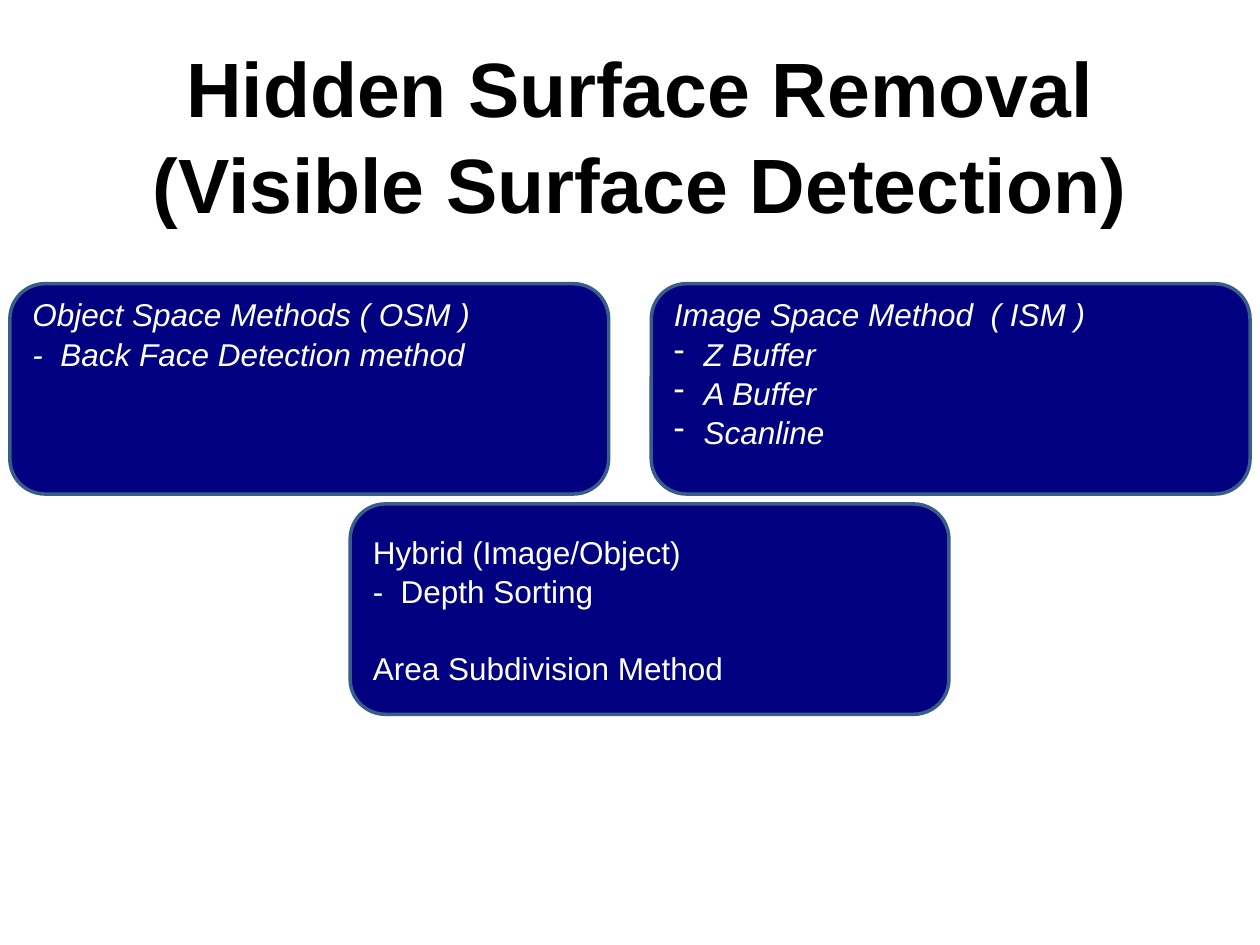
from lxml import etree
from pptx import Presentation
from pptx.dml.color import RGBColor
from pptx.enum.shapes import MSO_SHAPE
from pptx.enum.text import MSO_ANCHOR, MSO_AUTO_SIZE, PP_ALIGN
from pptx.oxml.ns import qn
from pptx.util import Cm, Pt

BLACK = RGBColor(0x00, 0x00, 0x00)
WHITE = RGBColor(0xFF, 0xFF, 0xFF)
NAVY = RGBColor(0x00, 0x00, 0x80)
STEEL_BLUE = RGBColor(0x38, 0x5D, 0x8A)

BOX_WIDTH, BOX_HEIGHT = 12.07, 4.24
BULLET_INDENT = 0.6


class SlideBuilder:
    font_name = "Arial"
    title_size = 44
    body_size = 18
    line_spacing = 1.04

    def __init__(self, presentation):
        self.slide = presentation.slides.add_slide(presentation.slide_layouts[5])

    def add_run(self, paragraph, text, size, color, bold=False, italic=False):
        paragraph.line_spacing = self.line_spacing
        run = paragraph.add_run()
        run.text = text
        run.font.name = self.font_name
        run.font.size = Pt(size)
        run.font.bold = bold
        run.font.italic = italic
        run.font.color.rgb = color

    def title(self, text, left, top, width, height):
        shape = self.slide.shapes.title
        shape.left, shape.top = Cm(left), Cm(top)
        shape.width, shape.height = Cm(width), Cm(height)
        frame = shape.text_frame
        frame.word_wrap = True
        frame.auto_size = MSO_AUTO_SIZE.NONE
        frame.vertical_anchor = MSO_ANCHOR.MIDDLE
        paragraph = frame.paragraphs[0]
        paragraph.alignment = PP_ALIGN.CENTER
        self.add_run(paragraph, text, self.title_size, BLACK, bold=True)

    def bullet(self, paragraph):
        """Give the paragraph a hanging dash."""
        properties = paragraph._p.get_or_add_pPr()
        properties.set("marL", str(Cm(BULLET_INDENT)))
        properties.set("indent", str(-Cm(BULLET_INDENT)))
        etree.SubElement(properties, qn("a:buChar")).set("char", "-")

    def method_box(self, left, top, lines, bullets=(), anchor=MSO_ANCHOR.TOP,
                   italic=True, spaced_line=None):
        """Draw a rounded box; spaced_line has one line of space before it."""
        shape = self.slide.shapes.add_shape(
            MSO_SHAPE.ROUNDED_RECTANGLE,
            Cm(left), Cm(top), Cm(BOX_WIDTH), Cm(BOX_HEIGHT))
        shape.shadow.inherit = False
        shape.fill.solid()
        shape.fill.fore_color.rgb = NAVY
        shape.line.color.rgb = STEEL_BLUE
        shape.line.width = Pt(2)

        frame = shape.text_frame
        frame.word_wrap = True
        frame.vertical_anchor = anchor
        frame.margin_top = frame.margin_bottom = 0
        for index, text in enumerate(lines + list(bullets)):
            paragraph = frame.paragraphs[0] if index == 0 else frame.add_paragraph()
            paragraph.alignment = PP_ALIGN.LEFT
            self.add_run(paragraph, text, self.body_size, WHITE, italic=italic)
            if index == spaced_line:
                paragraph.space_before = Pt(21.5)
            if index >= len(lines):
                self.bullet(paragraph)


def main():
    presentation = Presentation()
    presentation.slide_width, presentation.slide_height = Cm(25.4), Cm(19.05)
    builder = SlideBuilder(presentation)

    builder.title("Hidden Surface Removal (Visible Surface Detection)",
                  2.11, 0.64, 21.59, 4.09)
    builder.method_box(0.2, 5.72, ["Object Space Methods ( OSM )",
                                   "-  Back Face Detection method"])
    builder.method_box(13.13, 5.72, ["Image Space Method  ( ISM )"],
                       bullets=["Z Buffer", "A Buffer", "Scanline"])
    builder.method_box(7.06, 10.16, ["Hybrid (Image/Object)", "-  Depth Sorting",
                                     "Area Subdivision Method"],
                       anchor=MSO_ANCHOR.MIDDLE, italic=False, spaced_line=2)
    presentation.save("out.pptx")


if __name__ == "__main__":
    main()
